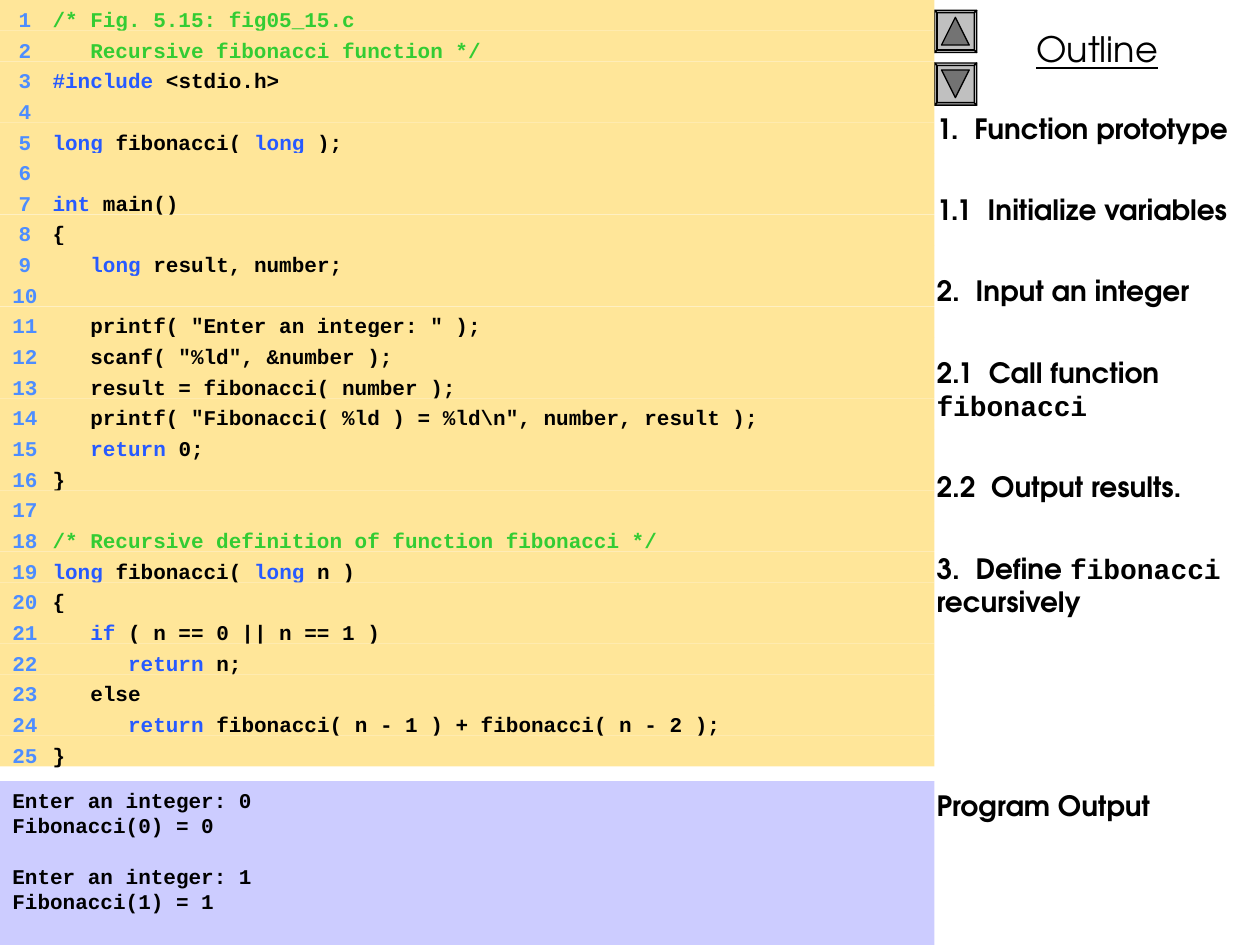
from itertools import groupby
from lxml import etree
from pptx import Presentation
from pptx.dml.color import RGBColor
from pptx.enum.shapes import MSO_SHAPE
from pptx.enum.text import MSO_ANCHOR, PP_ALIGN
from pptx.oxml.ns import qn
from pptx.util import Cm, Pt

RECT = MSO_SHAPE.RECTANGLE
TOP = MSO_ANCHOR.TOP
LEFT, CENTER = PP_ALIGN.LEFT, PP_ALIGN.CENTER
SANS, MONO = "TeX Gyre Adventor", "Courier New"
COLORS = {
    "text": "000000", "number": "4D8DFF", "key": "275AFF", "note": "33CC33",
    "code": "FFE699", "output": "CCCCFF", "button": "C0C0C0", "arrow": "737373",
}
WIDTH = 18.84
ROW = 0.618
KEYS = {"#include", "long", "int", "return", "if"}
CODE = r'''/* Fig. 5.15: fig05_15.c
   Recursive fibonacci function */
#include <stdio.h>

long fibonacci( long );

int main()
{
   long result, number;

   printf( "Enter an integer: " );
   scanf( "%ld", &number );
   result = fibonacci( number );
   printf( "Fibonacci( %ld ) = %ld\n", number, result );
   return 0;
}

/* Recursive definition of function fibonacci */
long fibonacci( long n )
{
   if ( n == 0 || n == 1 )
      return n;
   else
      return fibonacci( n - 1 ) + fibonacci( n - 2 );
}'''
OUTPUT = [
    ("Enter an integer: 0", 0), ("Fibonacci(0) = 0", 0),
    ("Enter an integer: 1", 14.4), ("Fibonacci(1) = 1", 0),
]
TOPICS = [
    (["1.  Function prototype"], 0),
    (["1.1  Initialize variables"], 27.2),
    (["2.  Input an integer"], 27.2),
    (["2.1  Call function ", "fibonacci"], 27.2),
    (["2.2  Output results."], 27.2),
    (["3.  Define ", "fibonacci", " recursively"], 27.2),
    (["Program Output"], 97),
]


def rgb(name):
    """Return the named colour."""
    return RGBColor.from_string(COLORS[name])


def style(font, face, size, bold=True):
    """Set the face, size and weight of a font in the text colour."""
    font.name, font.size, font.bold = face, Pt(size), bold
    font.color.rgb = rgb("text")


def setup(frame):
    """Make a frame wrap from the top with the standard margins."""
    frame.word_wrap = True
    frame.vertical_anchor = TOP
    frame.margin_left = frame.margin_right = Cm(0.25)
    frame.margin_top = frame.margin_bottom = Cm(0.13)
    return frame


def panel(slide, top, height, fill):
    """Add a full-width band on the left and return its text frame."""
    box = slide.shapes.add_shape(RECT, 0, Cm(top), Cm(WIDTH), Cm(height))
    box.shadow.inherit = False
    box.fill.solid()
    box.fill.fore_color.rgb = rgb(fill)
    box.line.fill.background()
    return setup(box.text_frame)


def label(slide, left, top, width, height):
    """Add a text box and return its frame."""
    box = slide.shapes.add_textbox(Cm(left), Cm(top), Cm(width), Cm(height))
    return setup(box.text_frame)


def lines(frame, items):
    """Yield a left-aligned paragraph with the content of each item."""
    for i, (text, gap) in enumerate(items):
        para = frame.add_paragraph() if i else frame.paragraphs[0]
        para.alignment = LEFT
        para.space_before = Pt(gap)
        yield para, text


def add_tabs(para):
    """Set a right tab for the line number and a left tab for the code."""
    tabs = etree.SubElement(para._p.get_or_add_pPr(), qn("a:tabLst"))
    for pos, side in ((0.38, "r"), (0.81, "l")):
        etree.SubElement(tabs, qn("a:tab"), pos=str(Cm(pos)), algn=side)


def tokens(line):
    """Split a line of code into pairs of text and colour name."""
    if line.startswith("/*") or line.endswith("*/"):
        return [(line, "note")]
    parts = groupby(line.split(" "), lambda word: "key" if word in KEYS else "text")
    return [(" " * (i > 0) + " ".join(words), name)
            for i, (name, words) in enumerate(parts)]


def code_row(slide, num, line):
    """Add one numbered line of code on its own band."""
    para = panel(slide, (num - 1) * ROW, ROW, "code").paragraphs[0]
    para.alignment = LEFT
    add_tabs(para)
    style(para.font, MONO, 12)
    for text, name in [(f"\t{num}\t", "number")] + tokens(line):
        if text:
            run = para.add_run()
            run.text = text
            run.font.color.rgb = rgb(name)


def outline(slide):
    """Add the heading and the list of topics."""
    para = label(slide, WIDTH, 0.43, 6.56, 1.12).paragraphs[0]
    para.text = "Outline"
    para.alignment = CENTER
    style(para.font, SANS, 20, False)
    para.font.underline = True
    frame = label(slide, 18.63, 2.12, 6.77, 16.93)
    for para, parts in lines(frame, TOPICS):
        style(para.font, SANS, 16)
        for text in parts:
            run = para.add_run()
            run.text = text
            if text == "fibonacci":
                run.font.name = MONO


def outlined(slide, paths, fill):
    """Add a closed outline of one or more paths, given in cm."""
    paths = [[(Cm(x), Cm(y)) for x, y in path] for path in paths]
    pen = slide.shapes.build_freeform(*paths[0][0])
    for i, path in enumerate(paths):
        if i:
            pen.move_to(*path[0])
        pen.add_line_segments(path[1:], close=True)
    form = pen.convert_to_shape()
    form.shadow.inherit = False
    form.fill.solid()
    form.fill.fore_color.rgb = rgb(fill)
    form.line.color.rgb = rgb("text")
    form.line.width = Pt(0.75)


def square(left, top, size):
    """Return the corners of a square."""
    return [(left, top), (left + size, top),
            (left + size, top + size), (left, top + size)]


def button(slide, top, way):
    """Add a bevelled button whose arrow points up (-1) or down (1)."""
    outer, inner = square(WIDTH, top, 0.85), square(WIDTH + 0.05, top + 0.05, 0.75)
    sides = [[outer[i - 1], outer[i], inner[i], inner[i - 1]] for i in range(4)]
    outlined(slide, [inner] + sides, "button")
    x, y = WIDTH + 0.42, top + 0.42
    tip, base = y + way * 0.28, y - way * 0.28
    outlined(slide, [[(x, tip), (x + 0.28, base), (x - 0.28, base)]], "arrow")


def main():
    """Build the slide and save it."""
    deck = Presentation()
    deck.slide_width, deck.slide_height = Cm(25.4), Cm(19.05)
    slide = deck.slides.add_slide(deck.slide_layouts[6])
    button(slide, 0.21, -1)
    button(slide, 1.27, 1)
    outline(slide)
    for num, line in enumerate(CODE.split("\n"), 1):
        code_row(slide, num, line)
    for para, text in lines(panel(slide, 15.75, 3.3, "output"), OUTPUT):
        para.text = text
        style(para.font, MONO, 12)
    deck.save("out.pptx")


if __name__ == "__main__":
    main()
